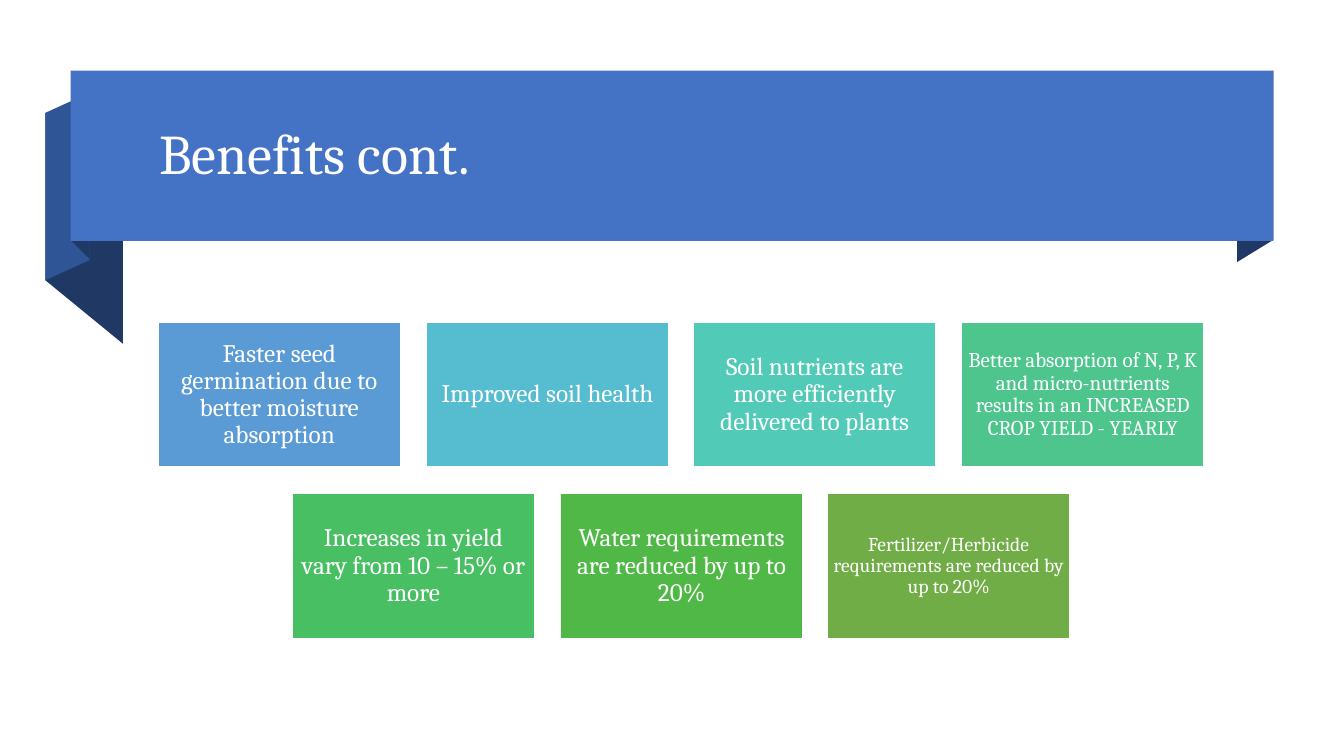
import pptx
import pptx.dml.color
import pptx.enum.shapes
import pptx.enum.text
import pptx.util

RGBColor = pptx.dml.color.RGBColor
WHITE = RGBColor(0xFF, 0xFF, 0xFF)
NAVY = RGBColor(0x20, 0x38, 0x64)
DENIM = RGBColor(0x2F, 0x55, 0x97)
BLUE = RGBColor(0x44, 0x72, 0xC4)
SKY = RGBColor(0x5B, 0x9B, 0xD5)
CYAN = RGBColor(0x56, 0xBC, 0xD0)
TEAL = RGBColor(0x52, 0xCA, 0xB8)
MINT = RGBColor(0x4D, 0xC5, 0x8D)
JADE = RGBColor(0x49, 0xBF, 0x64)
GREEN = RGBColor(0x50, 0xB8, 0x46)
OLIVE = RGBColor(0x70, 0xAD, 0x47)
ALIGN = pptx.enum.text.PP_ALIGN
RECT = pptx.enum.shapes.MSO_SHAPE.RECTANGLE
PX = 9144


class Deck:
    font = "Cambria"
    ink = WHITE

    def __init__(self, wide, high):
        self.show = pptx.Presentation()
        self.show.slide_width = wide * PX
        self.show.slide_height = high * PX
        self.slide = self.show.slides.add_slide(self.show.slide_layouts[5])

    def paint(self, shape, fill, edge=None):
        shape.shadow.inherit = False
        shape.fill.solid()
        shape.fill.fore_color.rgb = fill
        if edge is None:
            shape.line.fill.background()
        else:
            shape.line.color.rgb = edge
            shape.line.width = pptx.util.Pt(2)

    def label(self, shape, text, size, align):
        frame = shape.text_frame
        frame.word_wrap = True
        frame.vertical_anchor = pptx.enum.text.MSO_ANCHOR.MIDDLE
        para = frame.paragraphs[0]
        para.alignment = align
        para.line_spacing = 0.9
        run = para.add_run()
        run.text = text
        run.font.name = self.font
        run.font.size = pptx.util.Pt(size)
        run.font.color.rgb = self.ink

    def fold(self, points, fill):
        pen = self.slide.shapes.build_freeform(*points[0], scale=PX)
        pen.add_line_segments(points[1:], close=True)
        self.paint(pen.convert_to_shape(), fill)

    def rect(self, left, top, wide, high, fill, edge=None):
        area = [n * PX for n in (left, top, wide, high)]
        shape = self.slide.shapes.add_shape(RECT, *area)
        self.paint(shape, fill, edge)
        return shape

    def card(self, left, top, fill, text, size, inset):
        shape = self.rect(left, top, 242, 145, fill, WHITE)
        frame = shape.text_frame
        frame.margin_left = frame.margin_right = inset * PX
        frame.margin_top = frame.margin_bottom = inset * PX
        self.label(shape, text, size, ALIGN.CENTER)

    def title(self, left, top, wide, high, text):
        shape = self.slide.shapes.title
        shape.left, shape.top = left * PX, top * PX
        shape.width, shape.height = wide * PX, high * PX
        self.label(shape, text, 40, ALIGN.LEFT)
        shape.element.getparent().append(shape.element)


FOLDS = [
    ([(1263, 238), (1227, 260), (1227, 91), (1263, 70)], NAVY),
    ([(122, 341), (45, 278), (45, 112), (122, 175)], NAVY),
    ([(89, 258), (45, 278), (45, 112), (89, 92)], DENIM),
    ([(89, 257), (71, 239), (71, 70), (89, 89)], NAVY),
]
ROWS = [
    (156, 319, [
        (SKY, "Faster seed germination due to better moisture absorption", 18, 7),
        (CYAN, "Improved soil health", 18, 7),
        (TEAL, "Soil nutrients are more efficiently delivered to plants", 18, 7),
        (MINT, "Better absorption of N, P, K and micro-nutrients results in an "
         "INCREASED CROP YIELD - YEARLY", 15, 6),
    ]),
    (289, 489, [
        (JADE, "Increases in yield vary from 10 – 15% or more", 18, 7),
        (GREEN, "Water requirements are reduced by up to 20%", 18, 7),
        (OLIVE, "Fertilizer/Herbicide requirements are reduced by up to 20%", 14, 6),
    ]),
]


def main():
    deck = Deck(1333, 750)
    for points, fill in FOLDS:
        deck.fold(points, fill)
    deck.rect(70, 70, 1193, 169, BLUE)
    deck.title(148, 83, 1094, 145, "Benefits cont.")
    for left, top, cards in ROWS:
        for col, card in enumerate(cards):
            deck.card(left + round(265.6 * col), top, *card)
    deck.show.save("out.pptx")


if __name__ == "__main__":
    main()
